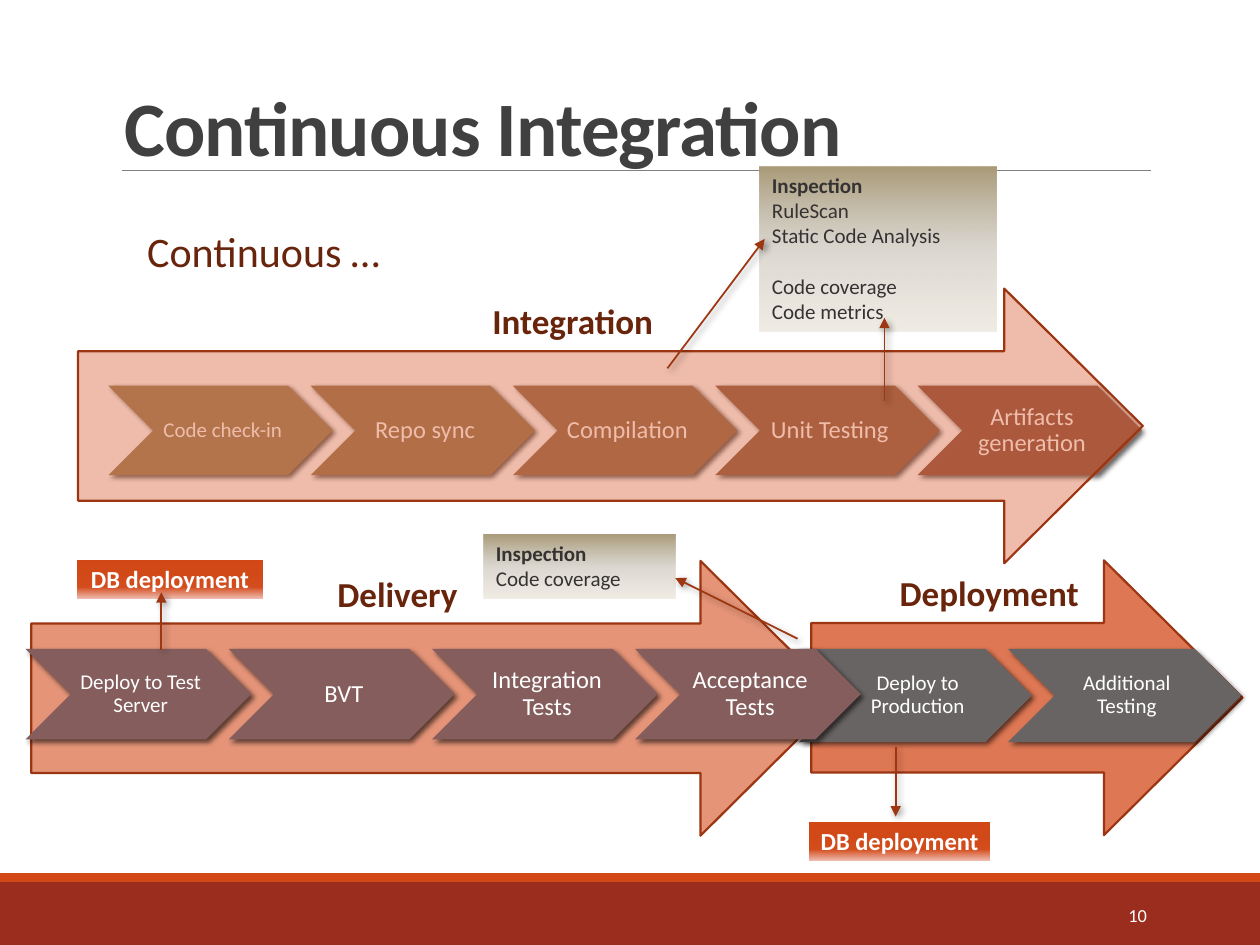
from lxml.etree import SubElement
from pptx import Presentation
from pptx.dml.color import RGBColor
from pptx.enum.shapes import MSO_CONNECTOR as LINE, MSO_SHAPE as SHAPE
from pptx.enum.text import MSO_ANCHOR as ANCHOR, PP_ALIGN as ALIGN
from pptx.oxml.ns import qn
from pptx.util import Pt

# Boxes are (left, top, width, height) in points.
BANDS = [((0, 504, 720, 36), "9B2D1F"), ((0, 499, 720, 5), "D34817")]
TITLE_RULE = (69.8, 97.2, 658, 97.2)

INTEGRATION = {
    "label": "Integration", "arrow": (44.6, 164.9, 608.4, 157), "opacity": 36,
    "first": (61.9, 220.4, 128.3, 51.2), "pitch": 115.6,
    "steps": [("Code check-in", 12, "A28E6A"), ("Repo sync", 14, "A08462"),
              ("Compilation", 14, "9D795C"), ("Unit Testing", 14, "996E56"),
              ("Artifacts generation", 14, "956251")],
}
DEPLOYMENT = {
    "label": "Deployment", "arrow": (463.6, 320.2, 246.4, 157), "opacity": 74,
    "first": (456.5, 370.8, 133.2, 53.3), "pitch": 119.5,
    "steps": [("Deploy to Production", 12, "696464"),
              ("Additional Testing", 12, "696464")],
}
DELIVERY = {
    "label": "Delivery", "arrow": (17.9, 320.5, 461.5, 157), "opacity": 58,
    "first": (14.6, 370.8, 129, 51.7), "pitch": 116.1,
    "steps": [("Deploy to Test Server", 12, "855D5D"), ("BVT", 14, "855D5D"),
              ("Integration Tests", 14, "855D5D"),
              ("Acceptance Tests", 14, "855D5D")],
}

DATABASE_BOXES = [(461.2, 468.7, 105.8, 24.3), (42.8, 318.8, 108.7, 24.3)]
INSPECTIONS = [
    ((434, 95, 135.4, 94.5),
     ["Inspection", "RuleScan", "Static Code Analysis", "Code coverage",
      "Code metrics"], {3: 14.4}),
    ((276.3, 305.2, 109.7, 36.6), ["Inspection", "Code coverage"], {}),
]
POINTERS = [
    (92.2, 371.5, 92.2, 338.4), (455.8, 365, 385.9, 330.3),
    (511.8, 427, 511.8, 466.6), (381.4, 210.5, 437, 136.6),
    (505.4, 229, 505.4, 181.6),
]
# Gradient stops are (position %, colour, opacity %).
ORANGE_FADE = [(0, "D34817", 100), (68, "D34817", 97), (100, "F4CEC9", 93)]
SAND_FADE = [(0, "AA9B78", 100), (50, "B9B1A3", 50), (100, "DCD3C1", 41)]
# Shadows are (opacity %, blur, distance), falling at 45 degrees.
STEP_SHADOW, POINTER_SHADOW = (60, 3, 2), (40, 4, 2)
HEAD_WIDTH, SHAFT = 0.504, 0.544


def color(code):
    return RGBColor.from_string(code)


def points(values):
    return [Pt(value) for value in values]


def add_color(parent, code, opacity):
    node = SubElement(parent, qn("a:srgbClr"), val=code)
    SubElement(node, qn("a:alpha"), val=str(opacity * 1000))


def set_effects(item, shadow=None):
    """Replace the theme shadow with the given one, or with none."""
    effects = SubElement(item.element.spPr, qn("a:effectLst"))
    if shadow:
        opacity, blur, distance = shadow
        outer = SubElement(effects, qn("a:outerShdw"), blurRad=str(Pt(blur)),
                           dist=str(Pt(distance)), dir="2700000",
                           algn="tl", rotWithShape="0")
        add_color(outer, "000000", opacity)


def write(item, lines, size, code, bold=False, align=ALIGN.CENTER,
          anchor=ANCHOR.TOP, wrap=True, margins=(7.2, 3.6, 7.2, 3.6),
          spacing=1.0):
    frame = item.text_frame
    frame.word_wrap, frame.vertical_anchor = wrap, anchor
    for side, margin in zip(("left", "top", "right", "bottom"), margins):
        setattr(frame, "margin_" + side, Pt(margin))
    for index, line in enumerate(lines):
        para = frame.add_paragraph() if index else frame.paragraphs[0]
        para.alignment, para.line_spacing = align, spacing
        span = para.add_run()
        span.text = line
        span.font.color.rgb = color(code)
        for key, value in {"name": "Calibri", "size": Pt(size), "bold": bold}.items():
            setattr(span.font, key, value)
    return frame


def add_text(page, box, text, size, code, **style):
    return write(page.shapes.add_textbox(*points(box)), [text], size, code, **style)


def add_filled(page, kind, box, fill, opacity=100, line=None, shadow=None):
    """Add a shape with a plain colour or a downward gradient."""
    shape = page.shapes.add_shape(kind, *points(box))
    if isinstance(fill, str):
        shape.fill.solid()
        shape.fill.fore_color.rgb = color(fill)
        SubElement(shape.element.spPr.find(qn("a:solidFill"))[0],
                   qn("a:alpha"), val=str(opacity * 1000))
    else:
        shape.fill.gradient()
        shape.fill.gradient_angle = 270
        stops = shape.element.spPr.find(qn("a:gradFill")).find(qn("a:gsLst"))
        for stop in list(stops):
            stops.remove(stop)
        for position, code, alpha in fill:
            stop = SubElement(stops, qn("a:gs"), pos=str(position * 1000))
            add_color(stop, code, alpha)
    if line:
        shape.line.color.rgb = color(line[0])
        shape.line.width = Pt(line[1])
    else:
        shape.line.fill.background()
    set_effects(shape, shadow)
    return shape


def add_line(page, ends, code, width, shadow=None, head=False):
    line = page.shapes.add_connector(LINE.STRAIGHT, *points(ends))
    line.line.color.rgb = color(code)
    line.line.width = Pt(width)
    if head:
        SubElement(line.element.spPr.find(qn("a:ln")), qn("a:tailEnd"), type="triangle")
    set_effects(line, shadow)


def add_arrow(page, stage):
    left, top, width, height = stage["arrow"]
    arrow = add_filled(page, SHAPE.RIGHT_ARROW, stage["arrow"], "D34817",
                       stage["opacity"], ("9C3511", 1.25))
    arrow.adjustments[0], arrow.adjustments[1] = SHAFT, HEAD_WIDTH
    label_width = width - height * HEAD_WIDTH * SHAFT
    add_text(page, (left, top + 5.4, label_width, 26), stage["label"], 20,
             "69240C", bold=True, anchor=ANCHOR.MIDDLE)


def add_steps(page, stage):
    left, top, width, height = stage["first"]
    for index, (text, size, fill) in enumerate(stage["steps"]):
        box = (left + index * stage["pitch"], top, width, height)
        step = add_filled(page, SHAPE.CHEVRON, box, fill, shadow=STEP_SHADOW)
        write(step, [text], size, "FFFFFF", anchor=ANCHOR.MIDDLE,
              margins=(4, 1.4, 1.4, 1.4), spacing=0.9)


def main():
    deck = Presentation()
    deck.slide_width, deck.slide_height = Pt(720), Pt(540)
    page = deck.slides.add_slide(deck.slide_layouts[6])

    for box, fill in BANDS:
        add_filled(page, SHAPE.RECTANGLE, box, fill)
    add_line(page, TITLE_RULE, "808080", 0.5)

    # The integration arrow lies as a veil over its own steps.
    add_steps(page, INTEGRATION)
    for box in DATABASE_BOXES:
        shape = add_filled(page, SHAPE.RECTANGLE, box, ORANGE_FADE, line=("FFFFFF", 2))
        write(shape, ["DB deployment"], 14, "FFFFFF", bold=True, wrap=False)
    for stage in (DEPLOYMENT, DELIVERY):
        add_arrow(page, stage)
        add_steps(page, stage)
    add_arrow(page, INTEGRATION)

    title = add_text(page, (64.1, 32.4, 594, 69.8), "Continuous Integration", 44,
                     "404040", bold=True, align=ALIGN.LEFT,
                     anchor=ANCHOR.BOTTOM, spacing=0.85)
    title.paragraphs[0].runs[0].font._element.set("spc", "-50")
    add_text(page, (584.6, 508.3, 77.8, 28.8), "10", 10.5, "FFFFFF",
             align=ALIGN.RIGHT, anchor=ANCHOR.MIDDLE)
    add_text(page, (77, 125.3, 566, 36), "Continuous …", 24, "69240C", align=ALIGN.LEFT)

    for box, lines, gaps in INSPECTIONS:
        shape = add_filled(page, SHAPE.RECTANGLE, box, SAND_FADE)
        frame = write(shape, lines, 12, "353232", align=ALIGN.LEFT)
        frame.paragraphs[0].runs[0].font.bold = True
        for index, gap in gaps.items():
            frame.paragraphs[index].space_before = Pt(gap)
    for ends in POINTERS:
        add_line(page, ends, "9E3611", 1, POINTER_SHADOW, head=True)

    deck.save("out.pptx")


if __name__ == "__main__":
    main()
